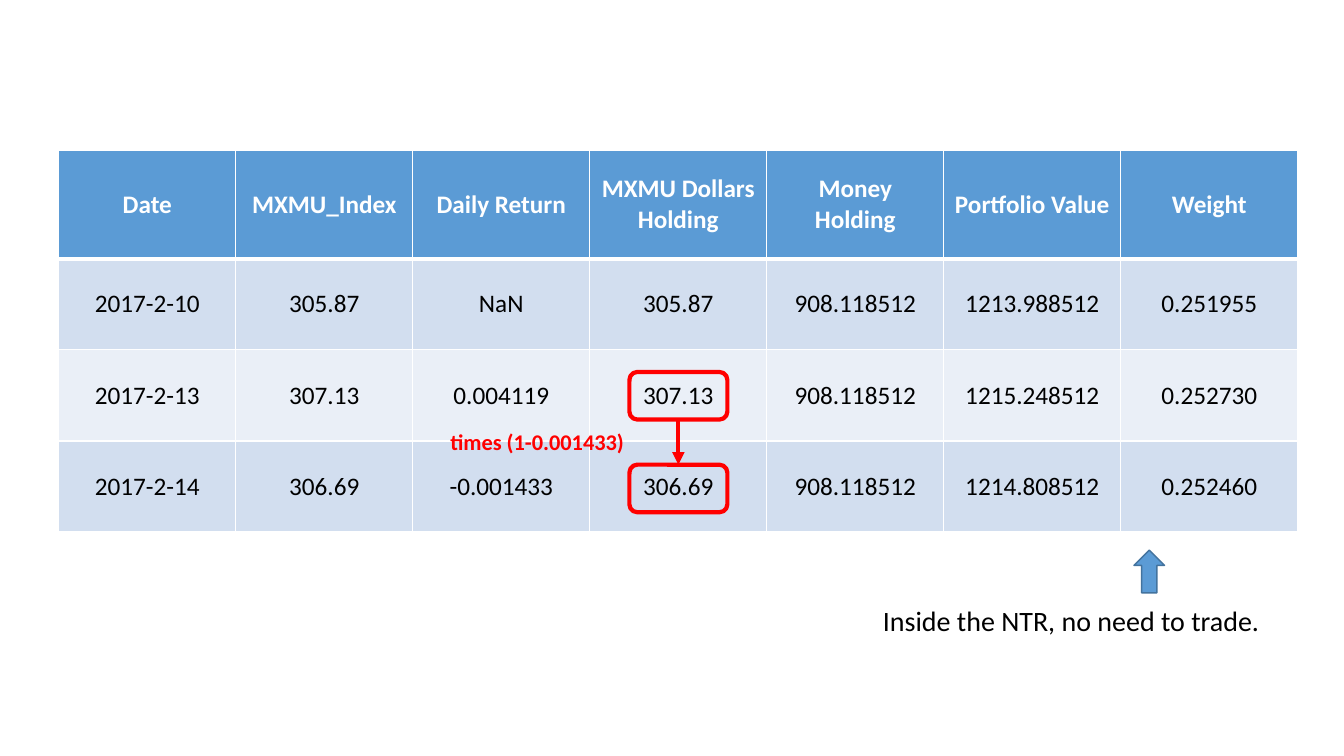
from dataclasses import dataclass

from lxml import etree
from pptx import Presentation
from pptx.dml.color import RGBColor
from pptx.enum.shapes import MSO_CONNECTOR, MSO_SHAPE
from pptx.enum.text import MSO_ANCHOR, MSO_AUTO_SIZE, PP_ALIGN
from pptx.oxml.ns import qn
from pptx.util import Pt

ROUND_RECT = MSO_SHAPE.ROUNDED_RECTANGLE
UP_ARROW = MSO_SHAPE.UP_ARROW
STRAIGHT = MSO_CONNECTOR.STRAIGHT
MIDDLE = MSO_ANCHOR.MIDDLE
CENTER = PP_ALIGN.CENTER
FIT_SHAPE = MSO_AUTO_SIZE.SHAPE_TO_FIT_TEXT


@dataclass(frozen=True)
class Theme:
    font: str = "Calibri"
    blue: str = "5B9BD5"
    blue_edge: str = "43739E"
    bands: tuple[str, str] = ("D2DEEF", "EAEFF7")
    white: str = "FFFFFF"
    black: str = "000000"
    red: str = "FF0000"
    table_size: float = 18
    note_size: float = 20
    factor_size: float = 16
    thin: float = 1
    thick: float = 3


@dataclass(frozen=True)
class Box:
    left: float
    top: float
    width: float
    height: float


@dataclass(frozen=True)
class Label:
    text: str
    box: Box
    size: float
    color: str
    bold: bool = False


THEME = Theme()

# Table content and grid
ROWS = (
    ("Date", "MXMU_Index", "Daily Return", "MXMU Dollars Holding",
     "Money Holding", "Portfolio Value", "Weight"),
    ("2017-2-10", "305.87", "NaN", "305.87", "908.118512", "1213.988512", "0.251955"),
    ("2017-2-13", "307.13", "0.004119", "307.13", "908.118512", "1215.248512", "0.252730"),
    ("2017-2-14", "306.69", "-0.001433", "306.69", "908.118512", "1214.808512", "0.252460"),
)
LEFT, TOP = 42, 107.3
COL_WIDTH, HEADER_HEIGHT, ROW_HEIGHT = 126.45, 77.5, 65.1

# Highlights in the dollars holding column
HOLDING_X = LEFT + 3.5 * COL_WIDTH
MARK_WIDTH, MARK_HEIGHT = 70, 34
MARKS = tuple(Box(HOLDING_X - MARK_WIDTH / 2, top, MARK_WIDTH, MARK_HEIGHT)
              for top in (265.7, 331.9))

LABELS = (
    Label("Inside the NTR, no need to trade.", Box(623.5, 427.7, 285.8, 31.5),
          THEME.note_size, THEME.black),
    Label("times (1-0.001433)", Box(314.6, 302.6, 140.4, 26.6),
          THEME.factor_size, THEME.red, True),
)


def rgb(color: str) -> RGBColor:
    return RGBColor.from_string(color)


def set_font(p, size: float, color: str, bold: bool) -> None:
    p.font.name = THEME.font
    p.font.size = Pt(size)
    p.font.bold = bold
    p.font.color.rgb = rgb(color)


def set_borders(cell, top: float, bottom: float) -> None:
    tc_pr = cell._tc.get_or_add_tcPr()
    widths = {"a:lnL": THEME.thin, "a:lnR": THEME.thin, "a:lnT": top, "a:lnB": bottom}
    for tag, width in widths.items():
        ln = etree.SubElement(tc_pr, qn(tag), w=str(Pt(width)))
        fill = etree.SubElement(ln, qn("a:solidFill"))
        etree.SubElement(fill, qn("a:srgbClr"), val=THEME.white)


def add_holdings_table(s) -> None:
    cols = len(ROWS[0])
    heights = [HEADER_HEIGHT] + [ROW_HEIGHT] * (len(ROWS) - 1)
    table = s.shapes.add_table(len(ROWS), cols, Pt(LEFT), Pt(TOP),
                               Pt(cols * COL_WIDTH), Pt(sum(heights))).table
    for column in table.columns:
        column.width = Pt(COL_WIDTH)
    for i, (values, height) in enumerate(zip(ROWS, heights)):
        table.rows[i].height = Pt(height)
        header = i == 0
        for j, value in enumerate(values):
            cell = table.cell(i, j)
            set_borders(cell, THEME.thick if i == 1 else THEME.thin,
                        THEME.thick if header else THEME.thin)
            cell.fill.solid()
            cell.fill.fore_color.rgb = rgb(THEME.blue if header else THEME.bands[(i - 1) % 2])
            cell.vertical_anchor = MIDDLE
            cell.text = value
            p = cell.text_frame.paragraphs[0]
            p.alignment = CENTER
            set_font(p, THEME.table_size, THEME.white if header else THEME.black, header)


def add_box(s, kind, box: Box, fill: str | None, line: str, width: float) -> None:
    sp = s.shapes.add_shape(kind, Pt(box.left), Pt(box.top), Pt(box.width), Pt(box.height))
    sp.shadow.inherit = False
    if fill:
        sp.fill.solid()
        sp.fill.fore_color.rgb = rgb(fill)
    else:
        sp.fill.background()
    sp.line.color.rgb = rgb(line)
    sp.line.width = Pt(width)


def add_arrow(s, x: float, top: float, bottom: float) -> None:
    arrow = s.shapes.add_connector(STRAIGHT, Pt(x), Pt(top), Pt(x), Pt(bottom))
    arrow.line.color.rgb = rgb(THEME.red)
    arrow.line.width = Pt(THEME.thick)
    etree.SubElement(arrow.line._get_or_add_ln(), qn("a:tailEnd"), type="triangle")
    etree.SubElement(arrow._element.spPr, qn("a:effectLst"))


def add_label(s, label: Label) -> None:
    box = label.box
    tf = s.shapes.add_textbox(Pt(box.left), Pt(box.top), Pt(box.width), Pt(box.height)).text_frame
    tf.word_wrap = False
    tf.auto_size = FIT_SHAPE
    tf.text = label.text
    set_font(tf.paragraphs[0], label.size, label.color, label.bold)


def main() -> None:
    prs = Presentation()
    prs.slide_width, prs.slide_height = Pt(960), Pt(540)
    s = prs.slides.add_slide(prs.slide_layouts[6])

    add_holdings_table(s)

    # Pointer to the weight column
    add_box(s, UP_ARROW, Box(810, 393, 21.8, 30.5), THEME.blue, THEME.blue_edge, THEME.thin)

    # Step from one holding to the next
    for mark in MARKS:
        add_box(s, ROUND_RECT, mark, None, THEME.red, THEME.thick)
    add_arrow(s, HOLDING_X, MARKS[0].top + MARK_HEIGHT, MARKS[1].top)

    for label in LABELS:
        add_label(s, label)

    prs.save("out.pptx")


if __name__ == "__main__":
    main()
